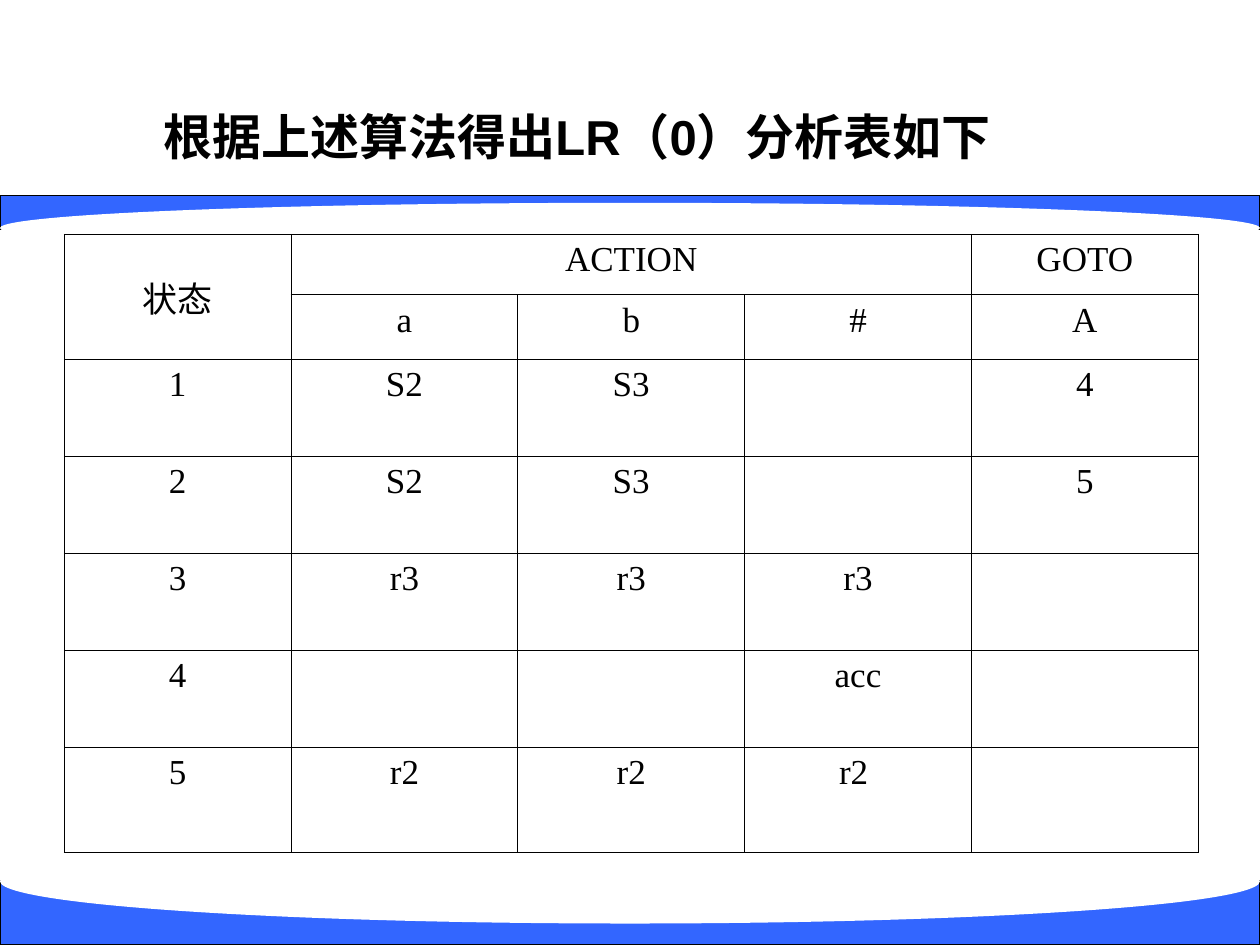
from lxml.etree import SubElement
from pptx import Presentation
from pptx.dml.color import RGBColor
from pptx.enum.shapes import MSO_SHAPE as Shape
from pptx.enum.text import MSO_ANCHOR as Anchor, PP_ALIGN as Align
from pptx.oxml.ns import qn
from pptx.util import Inches, Pt

BLACK, WHITE, BLUE = "000000", "FFFFFF", "3366FF"
ROW_HEIGHTS = [0.48, 0.51, 0.77, 0.77, 0.77, 0.77, 0.84]
COLUMN_WIDTH = 1.8
PARSING_TABLE = [
    ["状态", "ACTION", "", "", "GOTO"],
    ["", "a", "b", "#", "A"],
    ["1", "S2", "S3", "", "4"],
    ["2", "S2", "S3", "", "5"],
    ["3", "r3", "r3", "r3", ""],
    ["4", "", "", "acc", ""],
    ["5", "r2", "r2", "r2 ", ""],
]


def color(value):
    return RGBColor.from_string(value)


def write_text(paragraph, text, font_name, size, bold=False):
    paragraph.text = text
    paragraph.alignment = Align.CENTER
    font = paragraph.font
    font.name, font.size, font.bold = font_name, Pt(size), bold
    font.color.rgb = color(BLACK)


def add_band_shape(slide, kind, top, height, fill, line=None):
    shape = slide.shapes.add_shape(kind, 0, Inches(top), Inches(10), Inches(height))
    shape.shadow.inherit = False
    shape.fill.solid()
    shape.fill.fore_color.rgb = color(fill)
    if line:
        shape.line.color.rgb = color(line)
        shape.line.width = Pt(0.75)
    else:
        shape.line.fill.background()


def add_curved_band(slide, band_top, band_height, curve_top, curve_height):
    add_band_shape(slide, Shape.RECTANGLE, band_top, band_height, BLUE, BLACK)
    add_band_shape(slide, Shape.OVAL, curve_top, curve_height, WHITE)


def add_title(slide, text):
    box = slide.shapes.add_textbox(Inches(0.5), Inches(0.6), Inches(8.25), Inches(0.95))
    frame = box.text_frame
    frame.word_wrap = True
    frame.vertical_anchor = Anchor.MIDDLE
    write_text(frame.paragraphs[0], text, "Arial", 28, bold=True)


def set_borders(cell, line_color, width):
    properties = cell._tc.get_or_add_tcPr()
    for index, side in enumerate(("a:lnL", "a:lnR", "a:lnT", "a:lnB")):
        line = properties.makeelement(qn(side), {"w": str(Pt(width))})
        fill = SubElement(line, qn("a:solidFill"))
        SubElement(fill, qn("a:srgbClr"), val=line_color)
        properties.insert(index, line)


def add_parsing_table(slide):
    column_count = len(PARSING_TABLE[0])
    table = slide.shapes.add_table(
        len(PARSING_TABLE), column_count, Inches(0.51), Inches(1.86),
        Inches(COLUMN_WIDTH * column_count), Inches(sum(ROW_HEIGHTS)),
    ).table
    table.first_row = table.horz_banding = False
    for column in table.columns:
        column.width = Inches(COLUMN_WIDTH)
    for row, height in zip(table.rows, ROW_HEIGHTS):
        row.height = Inches(height)
    for row_index, values in enumerate(PARSING_TABLE):
        for column_index, value in enumerate(values):
            cell = table.cell(row_index, column_index)
            cell.fill.background()
            set_borders(cell, BLACK, 0.45)
            write_text(cell.text_frame.paragraphs[0], value, "Times New Roman", 20)
    state_header = table.cell(0, 0)
    state_header.merge(table.cell(1, 0))
    state_header.vertical_anchor = Anchor.MIDDLE
    table.cell(0, 1).merge(table.cell(0, 3))


def main():
    presentation = Presentation()
    presentation.slide_width = Inches(10)
    presentation.slide_height = Inches(7.5)
    slide = presentation.slides.add_slide(presentation.slide_layouts[6])
    slide.background.fill.solid()
    slide.background.fill.fore_color.rgb = color(WHITE)
    add_curved_band(slide, 1.55, 0.27, 1.61, 0.4)
    add_curved_band(slide, 6.99, 0.51, 6.66, 0.67)
    add_title(slide, "根据上述算法得出LR（0）分析表如下 ")
    add_parsing_table(slide)
    presentation.save("out.pptx")


if __name__ == "__main__":
    main()
